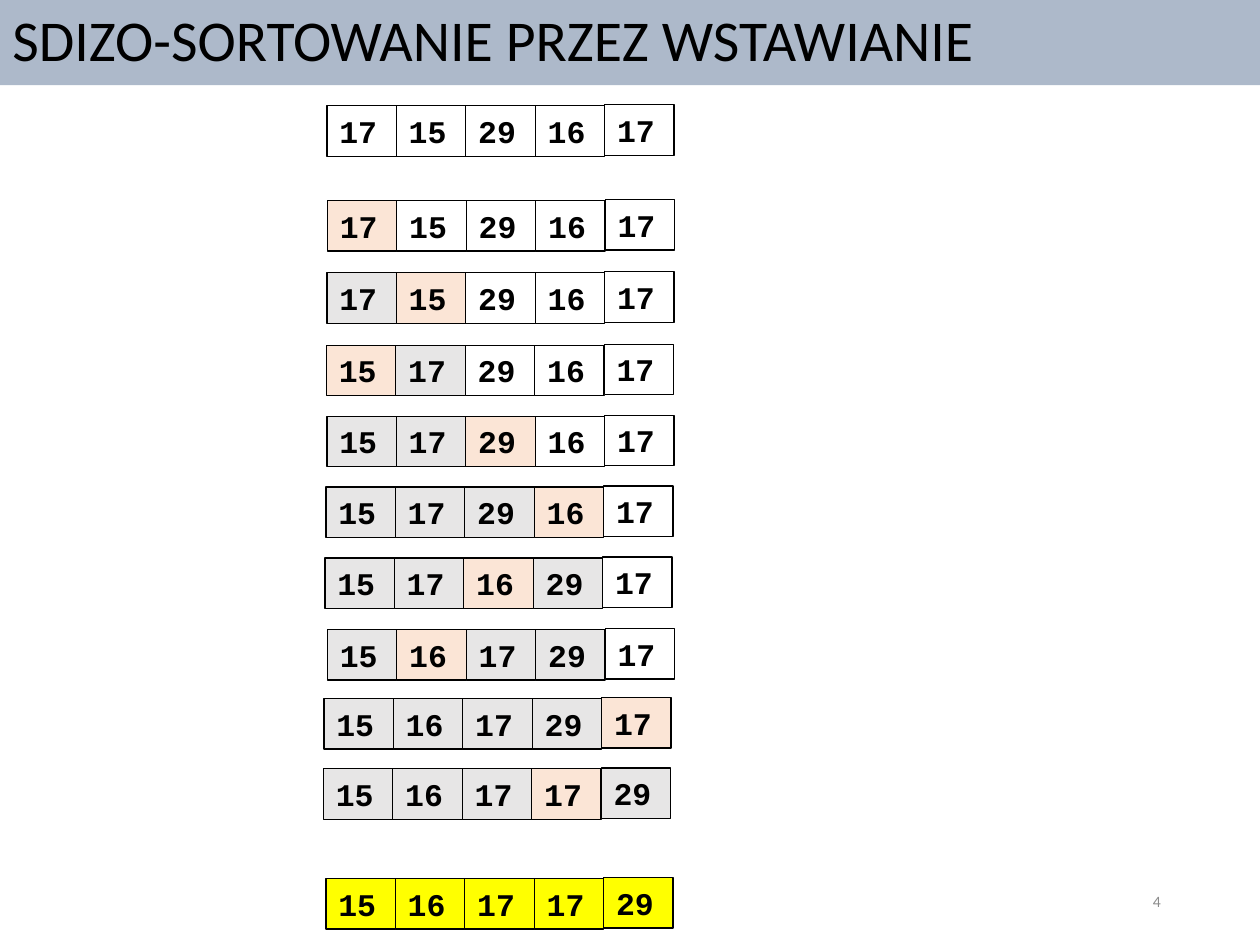
from pptx import Presentation
from pptx import util as u
from pptx.dml.color import RGBColor
from pptx.enum import shapes, text

TITLE = "SDIZO-SORTOWANIE PRZEZ WSTAWIANIE"
PAGE_NUMBER = "4"

# Cell states: "." unsorted, "s" sorted, "k" key being inserted, "d" done
FILLS = {".": "FFFFFF", "s": "E7E6E6", "k": "FBE5D6", "d": "FFFF00"}

# (left cm, top cm, values, state of each cell)
STEPS = [
    (6.59, 2.13, (17, 15, 29, 16, 17), "....."),
    (6.6, 4.04, (17, 15, 29, 16, 17), "k...."),
    (6.59, 5.5, (17, 15, 29, 16, 17), "sk..."),
    (6.58, 6.96, (15, 17, 29, 16, 17), "ks..."),
    (6.59, 8.39, (15, 17, 29, 16, 17), "ssk.."),
    (6.57, 9.82, (15, 17, 29, 16, 17), "sssk."),
    (6.55, 11.25, (15, 17, 16, 29, 17), "ssks."),
    (6.6, 12.69, (15, 16, 17, 29, 17), "skss."),
    (6.53, 14.08, (15, 16, 17, 29, 17), "ssssk"),
    (6.52, 15.5, (15, 16, 17, 17, 29), "sssks"),
    (6.57, 17.71, (15, 16, 17, 17, 29), "ddddd"),
]
CELL_WIDTH, CELL_HEIGHT = 1.4, 1.02
LAST_CELL_RAISE = 0.02


def color(value):
    return RGBColor.from_string(value)


def write(frame, wording, size, font, ink="000000", bold=False):
    run = frame.paragraphs[0].add_run()
    run.text = wording
    run.font.size = u.Pt(size)
    run.font.name = font
    run.font.bold = bold
    run.font.color.rgb = color(ink)


def add_box(parent, left, top, width, height, fill, align=text.PP_ALIGN.LEFT):
    box = parent.add_shape(shapes.MSO_SHAPE.RECTANGLE,
                           u.Cm(left), u.Cm(top), u.Cm(width), u.Cm(height))
    box.shadow.inherit = False
    box.fill.solid()
    box.fill.fore_color.rgb = color(fill)
    box.text_frame.paragraphs[0].alignment = align
    return box


def add_step(slide, left, top, values, states):
    row = slide.shapes.add_group_shape().shapes
    for i, (value, state) in enumerate(zip(values, states)):
        raised = LAST_CELL_RAISE if i == len(values) - 1 else 0
        cell = add_box(row, left + i * CELL_WIDTH, top - raised,
                       CELL_WIDTH, CELL_HEIGHT, FILLS[state])
        cell.line.color.rgb = color("000000")
        cell.line.width = u.Pt(0.75)
        cell.text_frame.vertical_anchor = text.MSO_ANCHOR.TOP
        cell.text_frame.auto_size = text.MSO_AUTO_SIZE.SHAPE_TO_FIT_TEXT
        write(cell.text_frame, str(value), 18, "Courier New", bold=True)


def main():
    deck = Presentation()
    deck.slide_width, deck.slide_height = u.Cm(25.4), u.Cm(19.05)
    slide = deck.slides.add_slide(deck.slide_layouts[6])

    title = add_box(slide.shapes, 0, 0, 25.4, 1.72, "ADB9CA")
    title.line.fill.background()
    title.text_frame.vertical_anchor = text.MSO_ANCHOR.MIDDLE
    title.text_frame.paragraphs[0].line_spacing = 0.9
    write(title.text_frame, TITLE, 33, "Calibri")

    for step in STEPS:
        add_step(slide, *step)

    page = slide.shapes.add_textbox(u.Cm(17.93), u.Cm(17.66), u.Cm(5.72), u.Cm(1.01))
    page.text_frame.word_wrap = True
    page.text_frame.vertical_anchor = text.MSO_ANCHOR.MIDDLE
    page.text_frame.paragraphs[0].alignment = text.PP_ALIGN.RIGHT
    write(page.text_frame, PAGE_NUMBER, 9, "Calibri", "8C8C8C")

    deck.save("out.pptx")


if __name__ == "__main__":
    main()
